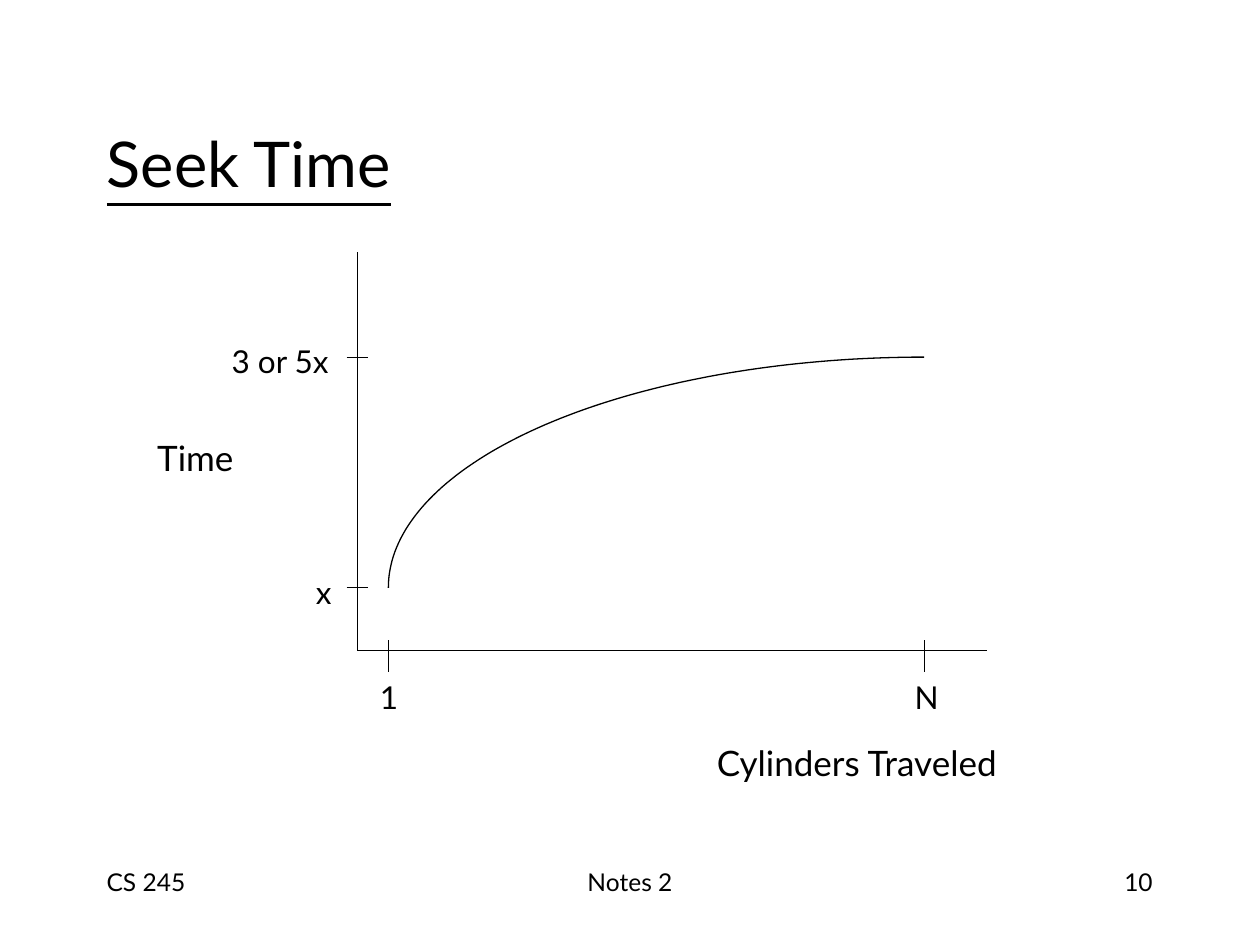
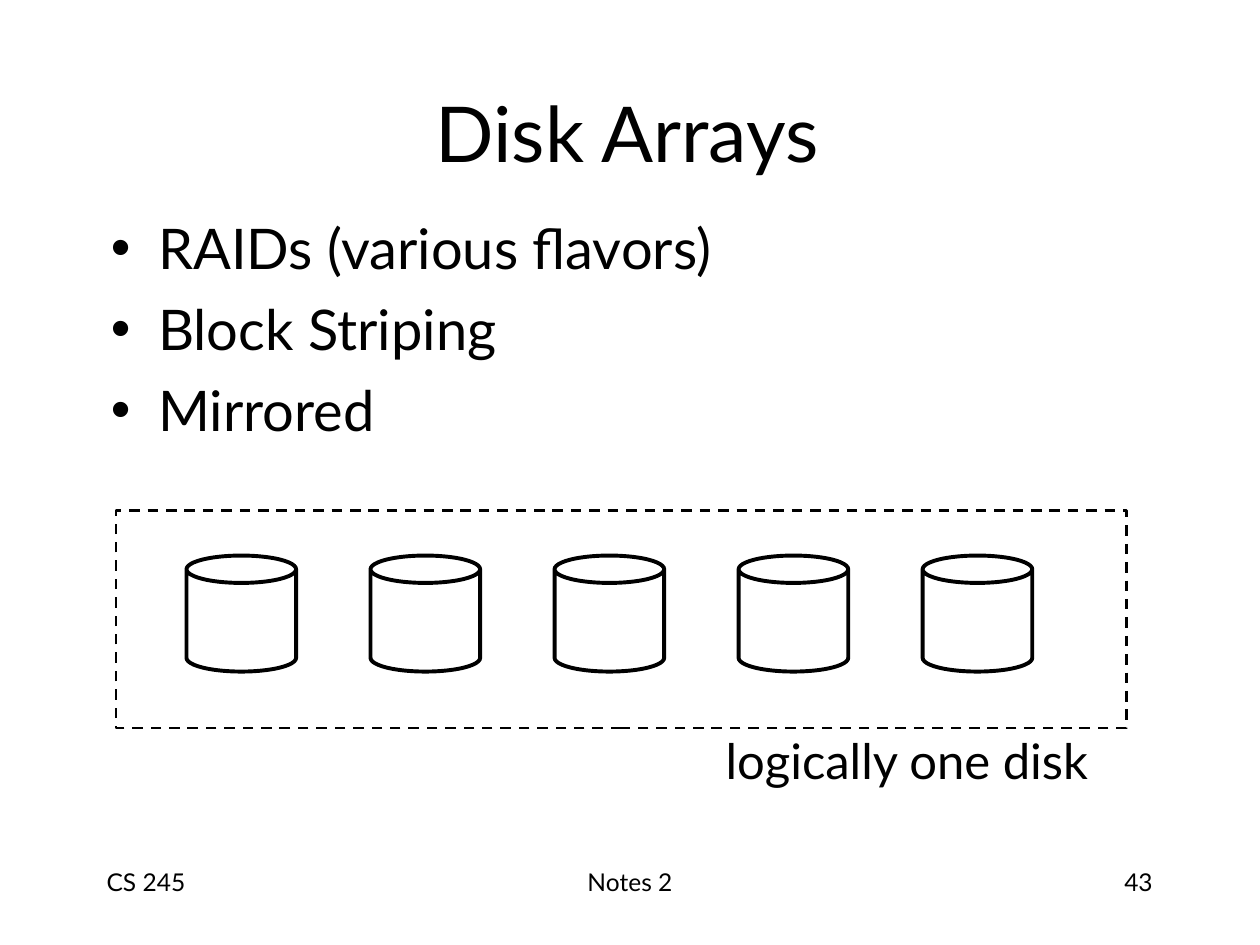
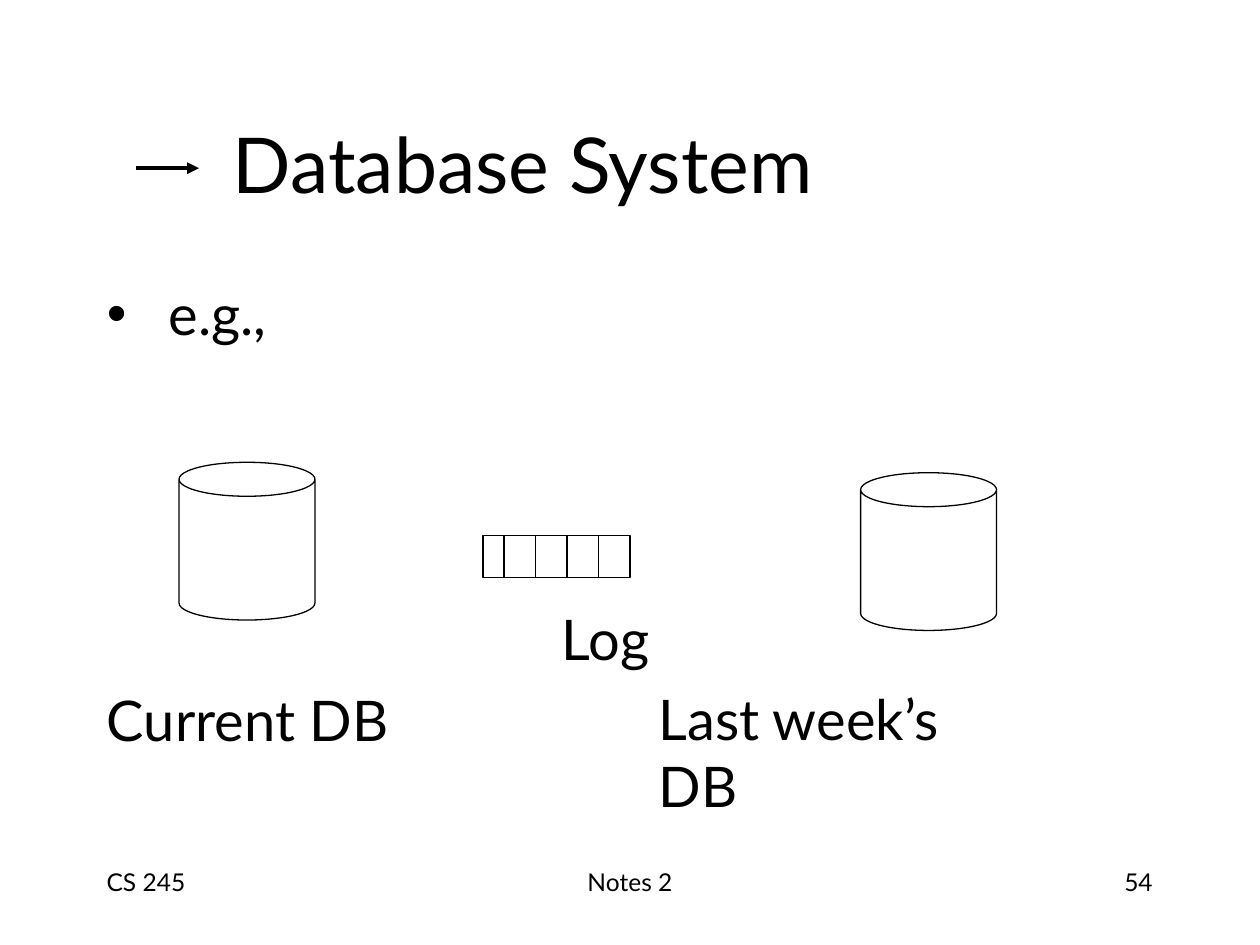
from math import cos, pi, sin

from lxml.etree import SubElement
from pptx import Presentation
from pptx.dml.color import RGBColor
from pptx.enum.dml import MSO_LINE
from pptx.enum.shapes import MSO_CONNECTOR, MSO_SHAPE
from pptx.enum.text import MSO_ANCHOR, MSO_AUTO_SIZE, PP_ALIGN
from pptx.oxml.ns import qn
from pptx.util import Cm, Pt

BLACK = RGBColor(0, 0, 0)
WHITE = RGBColor(255, 255, 255)
FONT = "Lato"
TITLE_ONLY, TITLE_AND_BODY = 5, 1

# Content; every box is left, top, width, height in cm
FOOTERS = [
    ("CS 245", (1.9, 17.36, 5.29, 1.27), PP_ALIGN.LEFT),
    ("Notes 2", (8.68, 17.36, 8.04, 1.27), PP_ALIGN.CENTER),
    ("{page}", (18.2, 17.36, 5.29, 1.27), PP_ALIGN.RIGHT),
]
TITLE_BOX = (1.9, 1.69, 21.59, 3.18)

SEEK = {
    "page": 10, "title": "Seek Time",
    "origin": (7.2, 13.12), "axis_top": 5.08, "axis_right": 19.9,
    "x_ticks": [7.83, 18.63], "x_tick_span": (12.91, 13.55),
    "y_ticks": [11.85, 7.2], "y_tick_span": (6.99, 7.41),
    "labels": [
        ("3 or 5x", (4.42, 6.77, 2.54, 1.02), 18),
        ("x", (6.12, 11.43, 0.84, 1.02), 18),
        ("1", (7.41, 13.55, 0.86, 1.02), 18),
        ("N", (18.19, 13.55, 0.99, 1.02), 18),
        ("Cylinders Traveled", (14.2, 14.82, 6.6, 1.12), 20),
        ("Time", (2.92, 8.68, 2.13, 1.12), 20),
    ],
}

ARRAYS = {
    "page": 43, "title": "Disk Arrays", "title_box": (1.85, 1.3, 21.59, 2.72),
    "bullets": ["RAIDs (various flavors)", "Block Striping", "Mirrored"],
    "body_box": (1.98, 4.17, 21.59, 4.9),
    "disk": (3.76, 11.2, 2.21, 2.34), "disk_step": 3.71, "disk_count": 5,
    "group": (2.34, 10.29, 20.37, 4.39),
    "caption": ("logically one disk", (14.38, 14.6, 8.38, 1.45), 28),
}

DATABASE = {
    "page": 54, "title": "Database System", "title_indent": 2.54,
    "arrow": (2.74, 3.39, 4.01, 3.39),
    "body_box": (1.9, 5.51, 21.59, 11.43),
    "bullet": "e.g.,", "bullet_indent": 1.25,
    # text, indent in cm, space before in points
    "captions": [("Log", 9.17, 147), ("Current DB", 0, 8)],
    "backup_caption": ("Last week’s DB", (13.03, 13.68, 8.01, 1.61), 32),
    "disks": [(3.61, 9.32, 2.74, 3.18), (17.35, 9.53, 2.74, 3.18)],
    "log": (9.74, 10.8, 2.96, 0.84), "log_cell": 2.54 / 4, "log_dividers": 4,
}


def cm(box):
    return [Cm(value) for value in box]


def write(paragraph, text, size, align=PP_ALIGN.LEFT, **extra):
    """Put one formatted run in the paragraph."""
    run = paragraph.add_run()
    run.text = text
    paragraph.alignment = align
    run.font.color.rgb = BLACK
    for key, value in {"name": FONT, "size": Pt(size), **extra}.items():
        setattr(run.font, key, value)


def add_label(slide, text, box, size, align=PP_ALIGN.LEFT, wrap=False):
    frame = slide.shapes.add_textbox(*cm(box)).text_frame
    frame.word_wrap = wrap
    frame.auto_size = MSO_AUTO_SIZE.NONE if wrap else MSO_AUTO_SIZE.SHAPE_TO_FIT_TEXT
    write(frame.paragraphs[0], text, size, align)


def place(placeholder, box, anchor):
    placeholder.left, placeholder.top, placeholder.width, placeholder.height = cm(box)
    frame = placeholder.text_frame
    frame.auto_size = MSO_AUTO_SIZE.NONE
    frame.vertical_anchor = anchor
    return frame


def add_slide(deck, layout, content, size, align=PP_ALIGN.LEFT, **extra):
    """Start a slide with its title and the shared footers."""
    slide = deck.slides.add_slide(deck.slide_layouts[layout])
    for text, box, side in FOOTERS:
        add_label(slide, text.format(page=content["page"]), box, 14, side, wrap=True)
    title = place(slide.shapes.title, content.get("title_box", TITLE_BOX), MSO_ANCHOR.MIDDLE)
    write(title.paragraphs[0], content["title"], size, align, **extra)
    return slide


def add_line(slide, ends, width=0.75, arrow=False):
    connector = slide.shapes.add_connector(MSO_CONNECTOR.STRAIGHT, *cm(ends))
    connector.line.color.rgb = BLACK
    connector.line.width = Pt(width)
    properties = connector._element.spPr
    if arrow:
        SubElement(properties.find(qn("a:ln")), qn("a:tailEnd"), type="triangle")
    SubElement(properties, qn("a:effectLst"))


def outline(shape, width=0.75, fill=None):
    shape.shadow.inherit = False
    if fill is None:
        shape.fill.background()
    else:
        shape.fill.solid()
        shape.fill.fore_color.rgb = fill
    shape.line.color.rgb = BLACK
    shape.line.width = Pt(width)


def add_outlined(slide, kind, box, width=0.75, fill=WHITE):
    shape = slide.shapes.add_shape(kind, *cm(box))
    outline(shape, width, fill)
    return shape


def set_indent(paragraph, left, first):
    properties = paragraph._p.get_or_add_pPr()
    properties.set("marL", str(Cm(left)))
    properties.set("indent", str(Cm(first)))
    return properties


def build_seek_time(deck):
    slide = add_slide(deck, TITLE_ONLY, SEEK, 36, underline=True)
    # Axes and ticks
    x0, y0 = SEEK["origin"]
    add_line(slide, (x0, SEEK["axis_top"], x0, y0))
    add_line(slide, (x0, y0, SEEK["axis_right"], y0))
    top, bottom = SEEK["x_tick_span"]
    for x in SEEK["x_ticks"]:
        add_line(slide, (x, top, x, bottom))
    left, right = SEEK["y_tick_span"]
    for y in SEEK["y_ticks"]:
        add_line(slide, (left, y, right, y))
    # Quarter ellipse from (1, x) to (N, 3 or 5x)
    (start_x, end_x), (start_y, end_y) = SEEK["x_ticks"], SEEK["y_ticks"]
    steps = 80
    angles = [pi / 2 * step / steps for step in range(steps + 1)]
    points = [(Cm(end_x - (end_x - start_x) * cos(a)),
               Cm(start_y - (start_y - end_y) * sin(a))) for a in angles]
    curve = slide.shapes.build_freeform(*points[0])
    curve.add_line_segments(points[1:], close=False)
    outline(curve.convert_to_shape())
    for label in SEEK["labels"]:
        add_label(slide, *label)


def build_disk_arrays(deck):
    slide = add_slide(deck, TITLE_AND_BODY, ARRAYS, 44, PP_ALIGN.CENTER)
    body = place(slide.placeholders[1], ARRAYS["body_box"], MSO_ANCHOR.TOP)
    for index, bullet in enumerate(ARRAYS["bullets"]):
        paragraph = body.add_paragraph() if index else body.paragraphs[0]
        paragraph.space_before = Pt(8 if index else 0)
        write(paragraph, bullet, 32)
    # Row of disks inside the dashed group
    left, *rest = ARRAYS["disk"]
    for index in range(ARRAYS["disk_count"]):
        add_outlined(slide, MSO_SHAPE.CAN, (left + index * ARRAYS["disk_step"], *rest), 2.25)
    group = add_outlined(slide, MSO_SHAPE.RECTANGLE, ARRAYS["group"], 1.5, fill=None)
    group.line.dash_style = MSO_LINE.DASH
    add_label(slide, *ARRAYS["caption"])


def build_database_system(deck):
    slide = add_slide(deck, TITLE_AND_BODY, DATABASE, 44)
    set_indent(slide.shapes.title.text_frame.paragraphs[0], DATABASE["title_indent"], 0)
    add_line(slide, DATABASE["arrow"], 2.25, arrow=True)
    # Bullet, then indented captions under the shapes
    body = place(slide.placeholders[1], DATABASE["body_box"], MSO_ANCHOR.TOP)
    example = body.paragraphs[0]
    set_indent(example, DATABASE["bullet_indent"], -DATABASE["bullet_indent"])
    example.space_before = Pt(0)
    write(example, DATABASE["bullet"], 32)
    for text, indent, gap in DATABASE["captions"]:
        paragraph = body.add_paragraph()
        SubElement(set_indent(paragraph, indent, 0), qn("a:buNone"))
        paragraph.space_before = Pt(gap)
        write(paragraph, text, 32)
    add_label(slide, *DATABASE["backup_caption"])
    for disk in DATABASE["disks"]:
        add_outlined(slide, MSO_SHAPE.CAN, disk)
    # Log cells, counted from the right edge
    left, top, width, height = DATABASE["log"]
    add_outlined(slide, MSO_SHAPE.RECTANGLE, DATABASE["log"])
    for index in range(1, DATABASE["log_dividers"] + 1):
        x = left + width - index * DATABASE["log_cell"]
        add_line(slide, (x, top, x, top + height))


def main():
    deck = Presentation()
    deck.slide_width, deck.slide_height = Cm(25.4), Cm(19.05)
    build_seek_time(deck)
    build_disk_arrays(deck)
    build_database_system(deck)
    deck.save("out.pptx")


if __name__ == "__main__":
    main()
